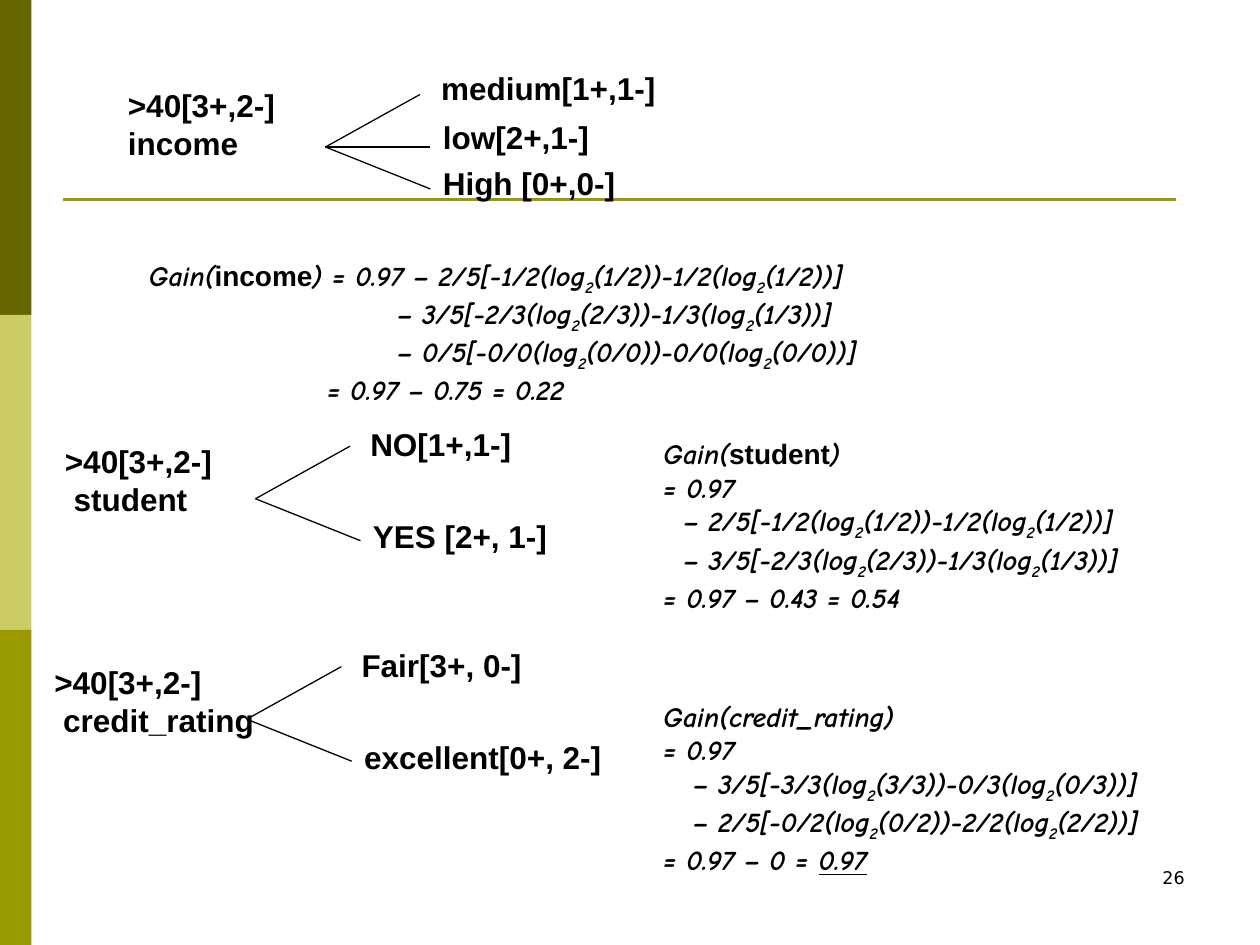
from pptx import Presentation
from pptx.dml.color import RGBColor
from pptx.enum.shapes import MSO_CONNECTOR, MSO_SHAPE
from pptx.enum.text import MSO_ANCHOR, MSO_AUTO_SIZE, PP_ALIGN
from pptx.oxml.ns import qn
from pptx.util import Pt
from lxml import etree

STRAIGHT = MSO_CONNECTOR.STRAIGHT
RECTANGLE = MSO_SHAPE.RECTANGLE
TOP = MSO_ANCHOR.TOP
GROW = MSO_AUTO_SIZE.SHAPE_TO_FIT_TEXT
LEFT, RIGHT = PP_ALIGN.LEFT, PP_ALIGN.RIGHT


def colour(value):
    """Turn a hex string into a colour."""
    return RGBColor.from_string(value)


def term(weight, first, second):
    """Write one weighted entropy term, with spans parted by bars."""
    return f"– {weight}[-{first}(log|~2|({first}))-{second}(log|~2|({second}))]"


class Board:
    """Hold the style and the current slide."""

    ink = "000000"
    label_font, formula_font, number_font = "Arial", "Comic Neue", "DejaVu Sans"
    label_size, formula_size, number_size = 18, 16, 10

    def __init__(self, page):
        """Remember the slide to draw on."""
        self.page = page

    def band(self, top, height, fill):
        """Draw one block of the side band."""
        block = self.page.shapes.add_shape(RECTANGLE, 0, Pt(top), Pt(18), Pt(height))
        block.shadow.inherit = False
        block.fill.solid()
        block.fill.fore_color.rgb = colour(fill)
        block.line.fill.background()

    def line(self, start, end, ink=ink, width=0.75):
        """Draw a straight line between two points."""
        points = [Pt(value) for value in (*start, *end)]
        connector = self.page.shapes.add_connector(STRAIGHT, *points)
        connector.line.color.rgb = colour(ink)
        connector.line.width = Pt(width)
        etree.SubElement(connector._element.spPr, qn("a:effectLst"))

    def box(self, left, top, width, height, wrap):
        """Add an empty text box and return its frame."""
        box = self.page.shapes.add_textbox(Pt(left), Pt(top), Pt(width), Pt(height))
        frame = box.text_frame
        frame.word_wrap = wrap
        frame.vertical_anchor = TOP
        return frame

    def style(self, span, font, size, bold=True, italic=False):
        """Format one span of text."""
        span.font.name = font
        span.font.size = Pt(size)
        span.font.bold = bold
        span.font.italic = italic
        span.font.color.rgb = colour(self.ink)

    def paragraphs(self, frame, rows):
        """Yield a paragraph and its text for each indented row."""
        for index, (indent, text) in enumerate(rows):
            para = frame.add_paragraph() if index else frame.paragraphs[0]
            para.alignment = LEFT
            if indent:
                para._p.get_or_add_pPr().set("marL", str(Pt(indent)))
            yield para, text

    def label(self, left, top, width, rows):
        """Add a bold label of one or more rows."""
        frame = self.box(left, top, width, 29 if len(rows) == 1 else 51, False)
        frame.auto_size = GROW
        for para, text in self.paragraphs(frame, rows):
            para.text = text
            self.style(para.runs[0], self.label_font, self.label_size)

    def tree(self, apex, root, leaves):
        """Add a root label with a branch to each leaf."""
        self.label(*root)
        for text, branch, offset, width in leaves:
            end = [origin + move for origin, move in zip(apex, branch)]
            self.line(apex, end)
            left, top = [origin + move for origin, move in zip(apex, offset)]
            self.label(left, top, width, [(0, text)])

    def formula(self, left, top, width, height, rows):
        """Add formula rows: ~ lowers a span, * names it, _ underlines it."""
        frame = self.box(left, top, width, height, True)
        frame.auto_size = GROW
        for para, text in self.paragraphs(frame, rows):
            for part in text.split("|"):
                mark = part[0] if part[0] in "~*_" else ""
                span = para.add_run()
                span.text = part[len(mark):]
                named = mark == "*"
                font = self.label_font if named else self.formula_font
                self.style(span, font, self.formula_size, italic=not named)
                if mark == "~":
                    span.font._element.set("baseline", "-25000")
                elif mark == "_":
                    span.font.underline = True

    def number(self, text):
        """Add the page number."""
        frame = self.box(516, 492, 168, 36, True)
        frame.text = text
        para = frame.paragraphs[0]
        para.alignment = RIGHT
        self.style(para.runs[0], self.number_font, self.number_size, bold=False)


deck = Presentation()
deck.slide_width, deck.slide_height = Pt(720), Pt(540)
board = Board(deck.slides.add_slide(deck.slide_layouts[6]))

for index, fill in enumerate(("666600", "CCCC66", "999900")):
    board.band(index * 180, 180, fill)
board.line((36, 114), (672, 114), "999900", 1.5)
board.number("26")

UPPER, MIDDLE, LOWER = (54, -30), (60, 0), (60, 24)
UPPER_LEAF, LOWER_LEAF = (58.5, -45.5), (60, 7)
AGE = ">40[3+,2-]"

board.tree((186, 84), (66, 45.5, 104.5, [(0, AGE), (0, "income")]), [
    ("medium[1+,1-]", UPPER, (59, -48), 138),
    ("low[2+,1-]", MIDDLE, (60, -20), 99),
    ("High [0+,0-]", LOWER, (60, 6), 114),
])
board.tree((146, 285), (30, 249, 104.5, [(0, AGE), (5, "student")]), [
    ("NO[1+,1-]", UPPER, UPPER_LEAF, 96),
    ("YES [2+, 1-]", LOWER, LOWER_LEAF, 115),
])
board.tree((141, 411), (24, 375.5, 129.5, [(0, AGE), (5, "credit_rating")]), [
    ("Fair[3+, 0-]", UPPER, UPPER_LEAF, 106.5),
    ("excellent[0+, 2-]", LOWER, LOWER_LEAF, 151),
])

HALVES = term("2/5", "1/2", "1/2")
THIRDS = term("3/5", "2/3", "1/3")

board.formula(78, 144, 546, 87, [
    (0, "Gain(|*income|) = 0.97 " + HALVES),
    (142, THIRDS),
    (142, term("0/5", "0/0", "0/0")),
    (102, "= 0.97 – 0.75 = 0.22"),
])
board.formula(372, 246, 348, 106.5, [
    (0, "Gain(|*student|)"),
    (0, "= 0.97"),
    (11.5, HALVES),
    (11.5, THIRDS),
    (0, "= 0.97 – 0.43 = 0.54"),
])
board.formula(372, 396, 348, 104, [
    (0, "Gain(credit_rating)"),
    (0, "= 0.97"),
    (17, term("3/5", "3/3", "0/3")),
    (17, term("2/5", "0/2", "2/2")),
    (0, "= 0.97 – 0 = |_0.97"),
])

deck.save("out.pptx")
